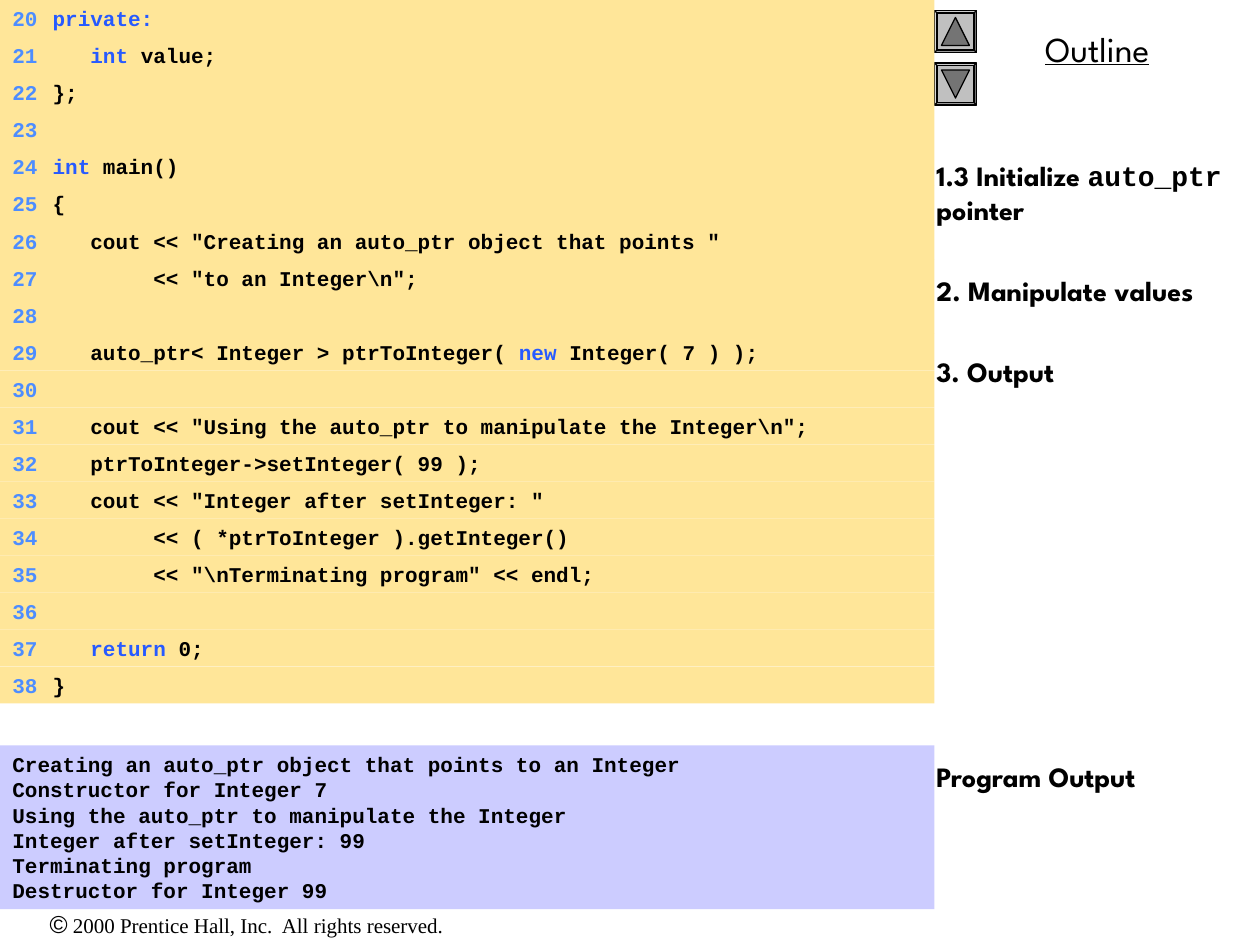
import pptx
import pptx.util
import pptx.dml.color
import pptx.enum.shapes
import pptx.enum.text
import pptx.oxml
import pptx.oxml.ns

Pt = pptx.util.Pt
Kind = pptx.enum.shapes.MSO_SHAPE
Align = pptx.enum.text.PP_ALIGN
Anchor = pptx.enum.text.MSO_ANCHOR


class Theme:
    """Colours, fonts and type sizes."""
    ink, key, count = "000000", "275AFF", "4D8DFF"
    sand, lilac, grey, dark = "FFE699", "CCCCFF", "C0C0C0", "747474"
    code = {"name": "Courier New", "size": Pt(12), "bold": True}
    head = {"name": "League Spartan", "size": Pt(20), "underline": True}
    note = {"name": "League Spartan", "size": Pt(16), "bold": True}
    term = {**note, "name": "Courier New"}
    foot = {"name": "Times New Roman", "size": Pt(12)}
    sign = {"name": "Arial", "size": Pt(14)}


class Page:
    """Holds the theme and the current slide."""

    def __init__(self, slide, theme):
        self.slide, self.theme = slide, theme

    def paint(self, fill, shade):
        fill.solid()
        fill.fore_color.rgb = pptx.dml.color.RGBColor.from_string(shade)

    def shape(self, kind, place, shade, line=None):
        item = self.slide.shapes.add_shape(kind, *map(Pt, place))
        item.shadow.inherit = False
        self.paint(item.fill, shade)
        if line:
            self.paint(item.line.fill, line)
            item.line.width = Pt(0.75)
        else:
            item.line.fill.background()
        return item

    def label(self, item, lines, align=Align.LEFT, anchor=Anchor.TOP, gaps=(), tab=None):
        """Each line is a list of (text, format, colour) runs."""
        frame = item.text_frame
        frame.word_wrap, frame.vertical_anchor = True, anchor
        for i, runs in enumerate(lines):
            para = frame.add_paragraph() if i else frame.paragraphs[0]
            para.alignment = align
            if i and gaps:
                para.space_before = Pt(gaps[i])
            if tab:
                stops = pptx.oxml.parse_xml(
                    f'<a:tabLst {pptx.oxml.ns.nsdecls("a")}>'
                    f'<a:tab pos="{Pt(tab)}" algn="l"/></a:tabLst>')
                para._p.get_or_add_pPr().append(stops)
            for text, form, shade in runs:
                run = para.add_run()
                run.text = text
                for name, value in form.items():
                    setattr(run.font, name, value)
                self.paint(run.font.fill, shade)

    def text(self, place, lines, **style):
        self.label(self.slide.shapes.add_textbox(*map(Pt, place)), lines, **style)

    def panel(self, place, shade, lines, **style):
        self.label(self.shape(Kind.RECTANGLE, place, shade), lines, **style)

    def button(self, left, top, turn):
        look = self.theme
        plate = self.shape(Kind.BEVEL, (left, top, 24, 24), look.grey, look.ink)
        plate.adjustments[0] = 0.06
        arrow = self.shape(Kind.ISOSCELES_TRIANGLE, (left + 4, top + 4, 16, 16),
                           look.dark, look.ink)
        arrow.rotation = turn


# Code lines, with keywords between bars
FIRST = 20
CODE = r'''|private:|
   |int| value;
};

|int| main()
{
   cout << "Creating an auto_ptr object that points "
        << "to an Integer\n";

   auto_ptr< Integer > ptrToInteger( |new| Integer( 7 ) );

   cout << "Using the auto_ptr to manipulate the Integer\n";
   ptrToInteger->setInteger( 99 );
   cout << "Integer after setInteger: "
        << ( *ptrToInteger ).getInteger()
        << "\nTerminating program" << endl;

   |return| 0;
}'''.split("\n")

OUTPUT = """Creating an auto_ptr object that points to an Integer
Constructor for Integer 7
Using the auto_ptr to manipulate the Integer
Integer after setInteger: 99
Terminating program
Destructor for Integer 99""".split("\n")

WIDE, ROW = 534, 21.16


def main():
    deck = pptx.Presentation()
    deck.slide_width, deck.slide_height = Pt(720), Pt(540)
    look = Theme()
    page = Page(deck.slides.add_slide(deck.slide_layouts[6]), look)

    # Footer and heading
    page.text((0, 516, 282, 24), [[
        ("©", look.sign, look.ink),
        (" 2000 Prentice Hall, Inc.  All rights reserved.", look.foot, look.ink)]],
        align=Align.CENTER)
    page.text((WIDE, 12, 186, 32), [[("Outline", look.head, look.ink)]],
              align=Align.CENTER)

    # Up and down buttons
    for top, turn in ((6, 0), (36, 180)):
        page.button(WIDE, top, turn)

    # Outline notes
    notes = [[("1.3 Initialize ", look.note, look.ink),
              ("auto_ptr ", look.term, look.ink),
              ("pointer", look.note, look.ink)]]
    notes += [[(text, look.note, look.ink)]
              for text in ("2. Manipulate values", "3. Output", "Program Output")]
    page.text((528, 87, 192, 453), notes, gaps=(0, 27.15, 27.15, 212.35))

    # Numbered code rows
    for i, line in enumerate(CODE):
        runs = [(f"{FIRST + i}\t", look.code, look.count)]
        runs += [(part, look.code, look.key if j % 2 else look.ink)
                 for j, part in enumerate(line.split("|")) if part]
        page.panel((0, i * ROW, WIDE, ROW), look.sand, [runs],
                   anchor=Anchor.MIDDLE, tab=23)

    # Program output
    page.panel((0, 426, WIDE, 93.6), look.lilac,
               [[(line, look.code, look.ink)] for line in OUTPUT])

    deck.save("out.pptx")


if __name__ == "__main__":
    main()
